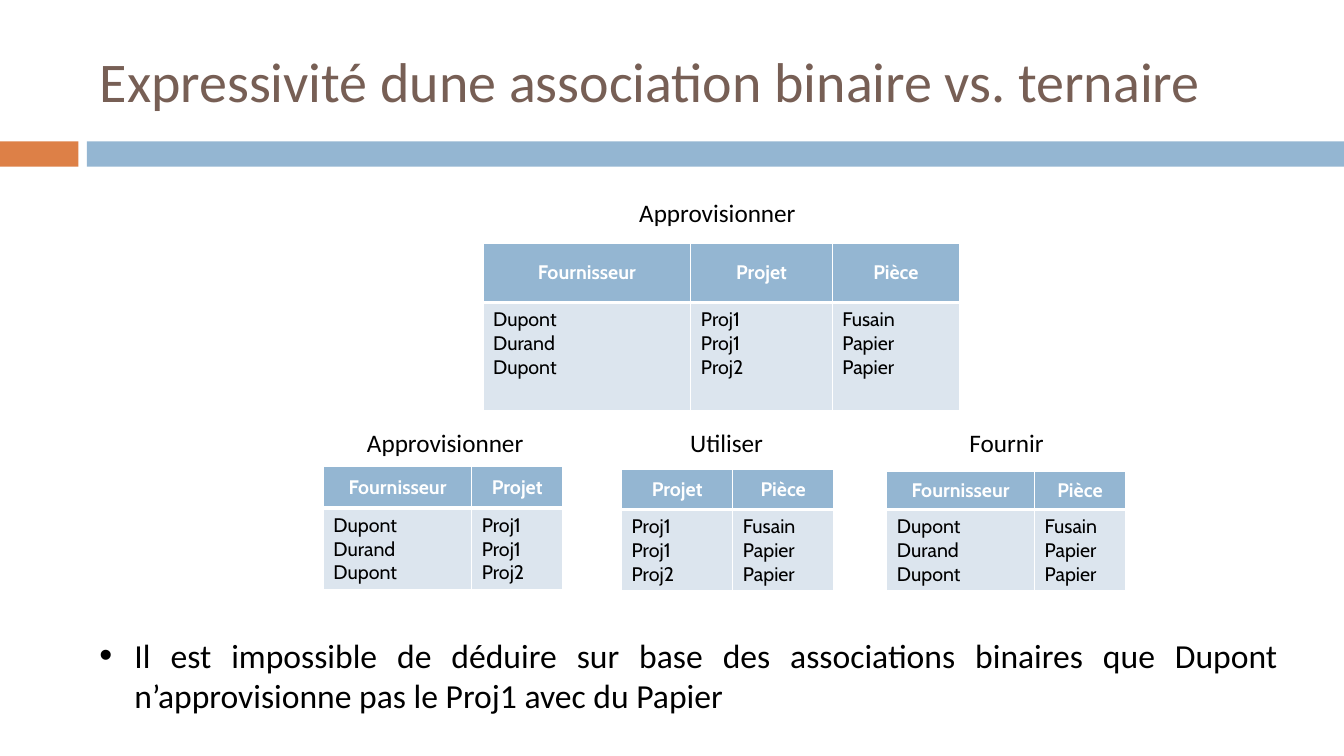
from lxml import etree
from pptx import Presentation
from pptx import util as u
from pptx.dml import color
from pptx.enum import shapes, text
from pptx.oxml import ns


class Theme:
    orange = color.RGBColor.from_string("DD8047")
    blue = color.RGBColor.from_string("94B6D2")
    pale = color.RGBColor.from_string("DCE5EE")
    brown = color.RGBColor.from_string("775F55")
    black = color.RGBColor.from_string("000000")
    white = color.RGBColor.from_string("FFFFFF")
    font, table_font = "Calibri", "Cabin"
    title_size, body_size, label_size, table_size = 40, 24, 18, 14


def write(frame, content, size, ink, align, font=Theme.font, bold=False):
    frame.text = content
    frame.word_wrap = True
    for paragraph in frame.paragraphs:
        paragraph.alignment = align
        for run in paragraph.runs:
            run.font.name = font
            run.font.size = u.Pt(size)
            run.font.bold = bold
            run.font.color.rgb = ink


def add_border(cell, side, width):
    line = etree.SubElement(cell._tc.get_or_add_tcPr(), ns.qn(f"a:ln{side}"), w=str(u.Pt(width)))
    fill = etree.SubElement(line, ns.qn("a:solidFill"))
    etree.SubElement(fill, ns.qn("a:srgbClr"), val=str(Theme.white))


presentation = Presentation()
presentation.slide_width, presentation.slide_height = u.Pt(960), u.Pt(540)
slide = presentation.slides.add_slide(presentation.slide_layouts[5])
left, center, justify = text.PP_ALIGN.LEFT, text.PP_ALIGN.CENTER, text.PP_ALIGN.JUSTIFY

for x, width, fill in [(0, 56, Theme.orange), (62, 898, Theme.blue)]:
    band = slide.shapes.add_shape(shapes.MSO_SHAPE.RECTANGLE, u.Pt(x), u.Pt(101), u.Pt(width), u.Pt(18))
    band.shadow.inherit = False
    band.fill.solid()
    band.fill.fore_color.rgb = fill
    band.line.fill.background()

title = slide.shapes.title
title.left, title.top, title.width, title.height = u.Pt(64), u.Pt(18), u.Pt(856), u.Pt(78)
write(title.text_frame, "Expressivité dune association binaire vs. ternaire", Theme.title_size, Theme.brown, left)
title.text_frame.vertical_anchor = text.MSO_ANCHOR.MIDDLE

columns = {
    "Fournisseur": "Dupont\nDurand\nDupont",
    "Projet": "Proj1\nProj1\nProj2",
    "Pièce": "Fusain\nPapier\nPapier",
}
relations = [
    ("Approvisionner", (345, 137.5, 335), (345, 173.5), {"Fournisseur": 148.5, "Projet": 101, "Pièce": 91}, (42.5, 77)),
    ("Approvisionner", (235.5, 301.5, 165), (231, 333.5), {"Fournisseur": 106, "Projet": 65}, (29.5, 58.5)),
    ("Utiliser", (446, 301.5, 146), (444, 335), {"Projet": 79.5, "Pièce": 72}, (29, 57.5)),
    ("Fournir", (638, 301.5, 162), (633.5, 337), {"Fournisseur": 105.5, "Pièce": 65}, (27, 57.5)),
]
for name, (label_x, label_y, label_width), (x, y), widths, heights in relations:
    label = slide.shapes.add_textbox(u.Pt(label_x), u.Pt(label_y), u.Pt(label_width), u.Pt(29))
    write(label.text_frame, name, Theme.label_size, Theme.black, center)

    frame = slide.shapes.add_table(2, len(widths), u.Pt(x), u.Pt(y), u.Pt(sum(widths.values())), u.Pt(sum(heights)))
    table = frame.table
    for row, height in zip(table.rows, heights):
        row.height = u.Pt(height)
    for index, (heading, width) in enumerate(widths.items()):
        table.columns[index].width = u.Pt(width)
        header, body = table.cell(0, index), table.cell(1, index)
        write(header.text_frame, heading, Theme.table_size, Theme.white, center, Theme.table_font, True)
        write(body.text_frame, columns[heading], Theme.table_size, Theme.black, left, Theme.table_font)
        header.vertical_anchor = text.MSO_ANCHOR.MIDDLE
        for cell, fill, top, bottom in [(header, Theme.blue, 1, 3), (body, Theme.pale, 3, 1)]:
            for side, thickness in zip("LRTB", (1, 1, top, bottom)):
                add_border(cell, side, thickness)
            cell.fill.solid()
            cell.fill.fore_color.rgb = fill

conclusion = slide.shapes.add_textbox(u.Pt(64), u.Pt(450), u.Pt(856), u.Pt(65))
write(
    conclusion.text_frame,
    "Il est impossible de déduire sur base des associations binaires que Dupont n’approvisionne pas le Proj1 avec du Papier",
    Theme.body_size, Theme.black, justify,
)
properties = conclusion.text_frame.paragraphs[0]._p.get_or_add_pPr()
properties.set("marL", str(u.Pt(25)))
properties.set("indent", str(u.Pt(-25)))
etree.SubElement(properties, ns.qn("a:buSzPct"), val="110000")
etree.SubElement(properties, ns.qn("a:buFont"), typeface="Arial")
etree.SubElement(properties, ns.qn("a:buChar"), char="•")

presentation.save("out.pptx")
